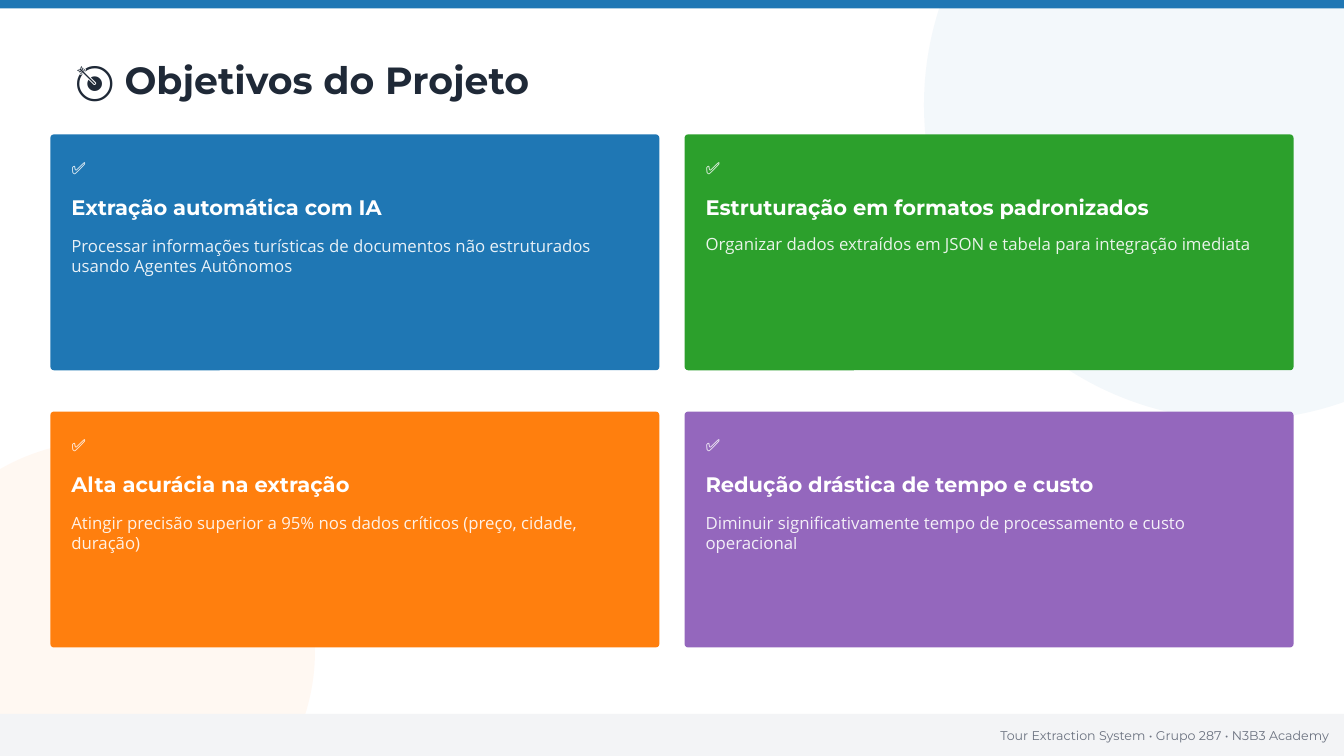
from lxml.etree import SubElement
from pptx import Presentation
from pptx.dml.color import RGBColor
from pptx.enum.shapes import MSO_SHAPE
from pptx.enum.text import MSO_ANCHOR, PP_ALIGN
from pptx.oxml.ns import qn
from pptx.util import Pt

WIDTH, HEIGHT = 960, 540
BLUE = RGBColor(0x1F, 0x77, 0xB4)
GREEN = RGBColor(0x2C, 0xA0, 0x2C)
ORANGE = RGBColor(0xFF, 0x7F, 0x0E)
PURPLE = RGBColor(0x94, 0x67, 0xBD)
DARK = RGBColor(0x1F, 0x29, 0x37)
GRAY = RGBColor(0x6B, 0x72, 0x80)
LIGHT = RGBColor(0xF3, 0xF4, 0xF6)
WHITE = RGBColor(0xFF, 0xFF, 0xFF)
HEADING_FONT, BODY_FONT = "Montserrat", "Open Sans"

# heading, description, lines in the description, colour
GOALS = [
    ("Extração automática com IA",
     "Processar informações turísticas de documentos não estruturados "
     "usando Agentes Autônomos", 2, BLUE),
    ("Estruturação em formatos padronizados",
     "Organizar dados extraídos em JSON e tabela para integração imediata",
     1, GREEN),
    ("Alta acurácia na extração",
     "Atingir precisão superior a 95% nos dados críticos "
     "(preço, cidade, duração)", 2, ORANGE),
    ("Redução drástica de tempo e custo",
     "Diminuir significativamente tempo de processamento e custo operacional",
     2, PURPLE),
]


def set_opacity(fill_owner, percent):
    """Set the opacity of the solid fill found in an XML element."""
    color = next(fill_owner.iter(qn("a:srgbClr")))
    SubElement(color, qn("a:alpha"), val=str(percent * 1000))


def add_block(s, kind, x, y, w, h, color, opacity=100):
    sp = s.shapes.add_shape(kind, Pt(x), Pt(y), Pt(w), Pt(h))
    sp.shadow.inherit = False
    sp.fill.solid()
    sp.fill.fore_color.rgb = color
    sp.line.fill.background()
    if opacity < 100:
        set_opacity(sp.fill._xPr, opacity)
    return sp


def add_text(s, text, x, y, w, h, size=12, font=BODY_FONT, color=WHITE,
             bold=False, align=PP_ALIGN.LEFT, opacity=100):
    tf = s.shapes.add_textbox(Pt(x), Pt(y), Pt(w), Pt(h)).text_frame
    tf.word_wrap = True
    tf.vertical_anchor = MSO_ANCHOR.MIDDLE
    tf.margin_left = tf.margin_top = tf.margin_right = tf.margin_bottom = 0
    p = tf.paragraphs[0]
    p.alignment = align
    r = p.add_run()
    r.text = text
    r.font.size = Pt(size)
    r.font.name = font
    r.font.bold = bold
    r.font.color.rgb = color
    if opacity < 100:
        set_opacity(r.font._element, opacity)


def add_backdrop(s):
    add_block(s, MSO_SHAPE.RECTANGLE, 0, 0, WIDTH, 6, BLUE)
    add_block(s, MSO_SHAPE.OVAL, 660, -150, 450, 450, BLUE, opacity=5)
    add_block(s, MSO_SHAPE.OVAL, -75, 315, 300, 300, ORANGE, opacity=5)


def add_footer(s, x, y, w, h):
    add_block(s, MSO_SHAPE.RECTANGLE, x, y, w, h, LIGHT)
    add_text(s, "Tour Extraction System • Grupo 287 • N3B3 Academy",
             x + w - 261, y + 9, 250, 12, size=9, font=HEADING_FONT,
             color=GRAY, align=PP_ALIGN.RIGHT)


def add_card(s, x, y, w, h, heading, description, lines, color):
    card = add_block(s, MSO_SHAPE.ROUNDED_RECTANGLE, x, y, w, h, color)
    card.adjustments[0] = 0.015
    left = x + 15
    add_text(s, "✅", left, y + 15.5, 24, 16.5, opacity=90)
    add_text(s, description, left, y + 69.5, 396, 17.25 * lines, opacity=90)
    add_text(s, heading, left, y + 43, w - 30, 18, size=15,
             font=HEADING_FONT, bold=True)


def add_goal_grid(s, x, y, w, h, gap_x=18, gap_y=29.5):
    card_w, card_h = (w - gap_x) / 2, (h - gap_y) / 2
    for i, goal in enumerate(GOALS):
        row, col = divmod(i, 2)
        add_card(s, x + col * (card_w + gap_x), y + row * (card_h + gap_y),
                 card_w, card_h, *goal)


def main():
    prs = Presentation()
    prs.slide_width, prs.slide_height = Pt(WIDTH), Pt(HEIGHT)
    s = prs.slides.add_slide(prs.slide_layouts[6])
    add_backdrop(s)
    add_footer(s, 0, 510, WIDTH, 30)
    add_text(s, "🎯 Objetivos do Projeto", 54, 40.5, 400, 33, size=27,
             font=HEADING_FONT, color=DARK, bold=True)
    add_goal_grid(s, 36, 96, WIDTH - 72, 366.5)
    prs.save("out.pptx")


if __name__ == "__main__":
    main()
